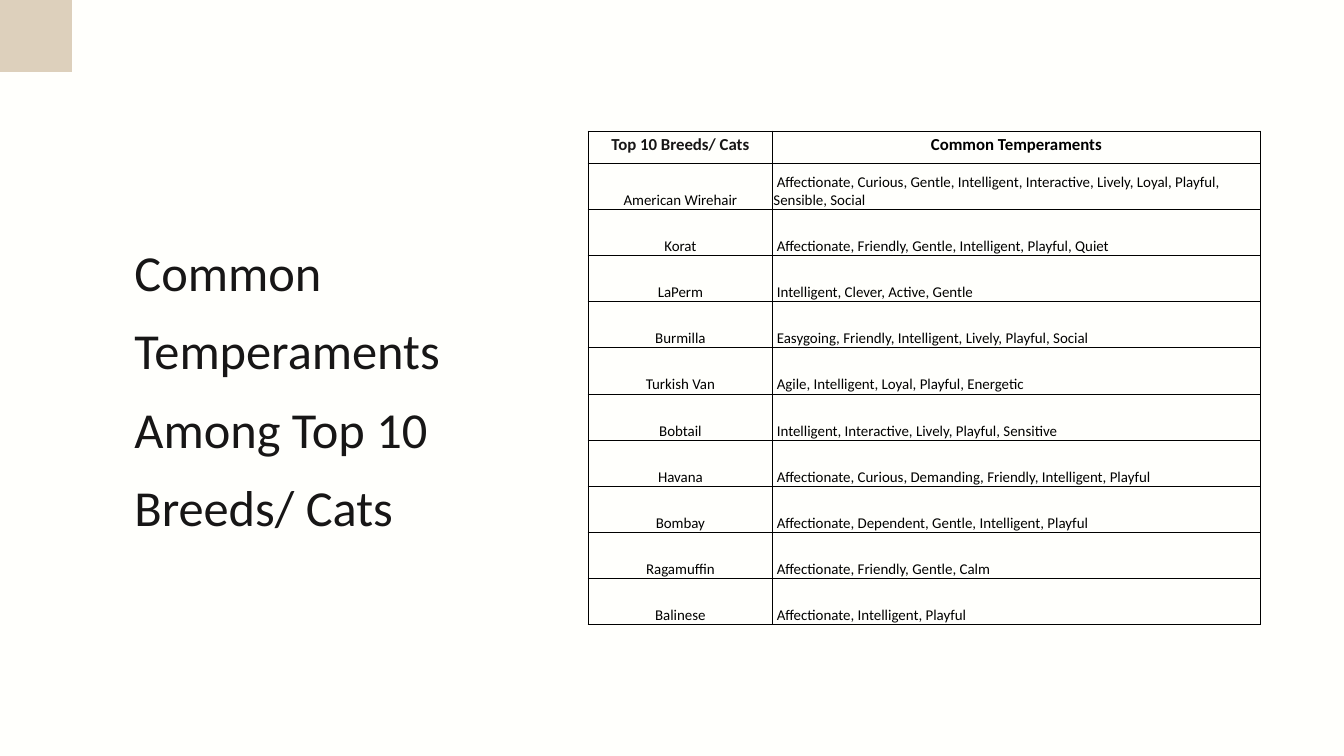
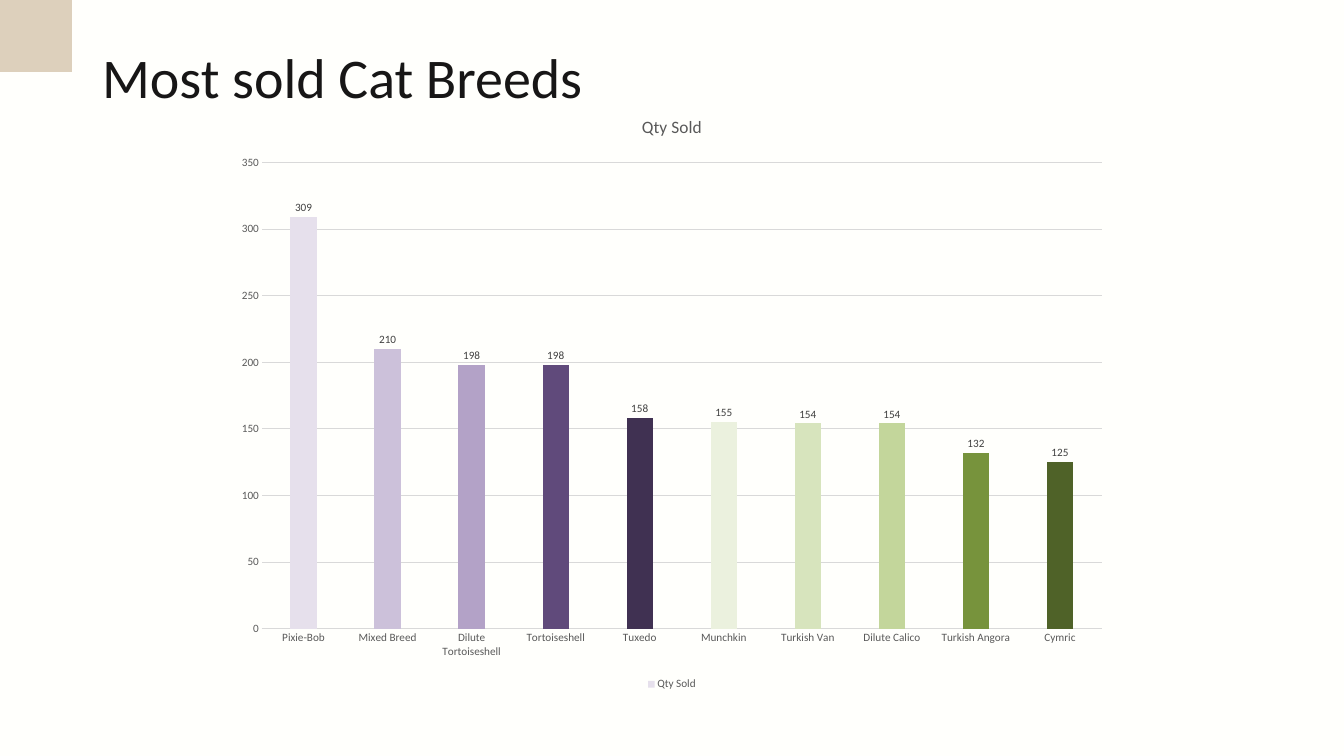
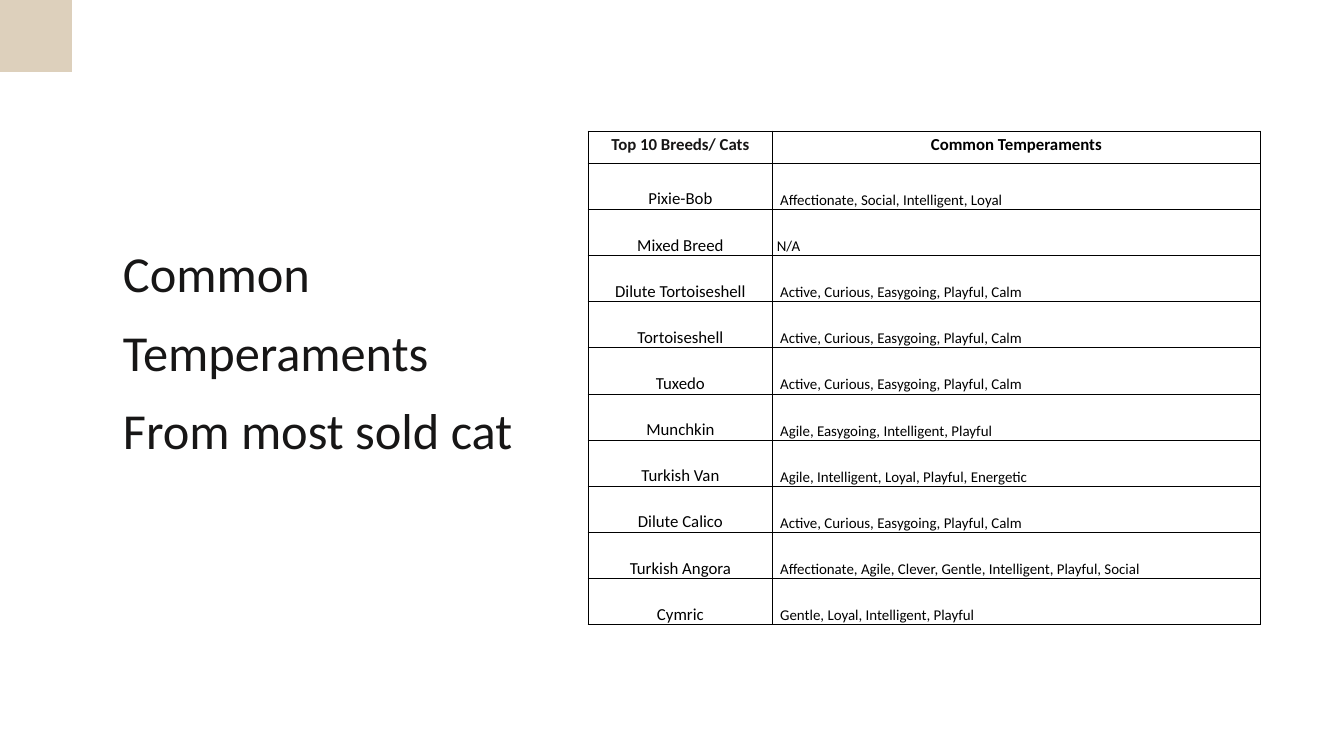
from dataclasses import dataclass

import pptx
import pptx.chart.data
import pptx.dml.color
import pptx.enum.chart
import pptx.enum.shapes
import pptx.enum.text
import pptx.oxml
import pptx.oxml.ns
import pptx.util

RGB = pptx.dml.color.RGBColor.from_string
Pt = pptx.util.Pt
ALIGN = pptx.enum.text.PP_ALIGN
ANCHOR = pptx.enum.text.MSO_ANCHOR

COLUMNS, ROWS = 80, 45  # the slide's grid of square cells
CELL = 0.25  # inches


@dataclass(frozen=True)
class Theme:
    font: str = "Calibri"
    ivory: str = "FFFFFC"
    white: str = "FFFFFF"
    sand: str = "DDD0BC"
    ink: str = "171616"
    black: str = "000000"
    axis_text: str = "595959"
    label_text: str = "404040"
    grid: str = "D9D9D9"
    bars: tuple = ("E6E0EC", "CCC1DA", "B3A2C7", "604A7B", "403152",
                   "EBF1DE", "D7E4BD", "C3D69B", "77933C", "4F6228")
    title: float = 60
    side_title: float = 54
    title_leading: float = 84
    table_head: float = 18
    table_text: float = 16
    chart_title: float = 18.6
    chart_text: float = 12
    rule: float = 1
    hairline: float = 0.75


T = Theme()

TABLE_BOX = (35, 7.8, 40, 29.4)
TABLE_HEAD = ("Top 10 Breeds/ Cats", "Common Temperaments")
NAME_SHARE = 0.275
HEAD_ROW = 1.92

TOP_BREEDS = [
    ("American Wirehair", "Affectionate, Curious, Gentle, Intelligent, Interactive, "
                          "Lively, Loyal, Playful, Sensible, Social"),
    ("Korat", "Affectionate, Friendly, Gentle, Intelligent, Playful, Quiet"),
    ("LaPerm", "Intelligent, Clever, Active, Gentle"),
    ("Burmilla", "Easygoing, Friendly, Intelligent, Lively, Playful, Social"),
    ("Turkish Van", "Agile, Intelligent, Loyal, Playful, Energetic"),
    ("Bobtail", "Intelligent, Interactive, Lively, Playful, Sensitive"),
    ("Havana", "Affectionate, Curious, Demanding, Friendly, Intelligent, Playful"),
    ("Bombay", "Affectionate, Dependent, Gentle, Intelligent, Playful"),
    ("Ragamuffin", "Affectionate, Friendly, Gentle, Calm"),
    ("Balinese", "Affectionate, Intelligent, Playful"),
]

CALICO_TRAITS = "Active, Curious, Easygoing, Playful, Calm"
# breed, quantity sold, temperaments
SOLD_BREEDS = [
    ("Pixie-Bob", 309, "Affectionate, Social, Intelligent, Loyal"),
    ("Mixed Breed", 210, "N/A"),
    ("Dilute Tortoiseshell", 198, CALICO_TRAITS),
    ("Tortoiseshell", 198, CALICO_TRAITS),
    ("Tuxedo", 158, CALICO_TRAITS),
    ("Munchkin", 155, "Agile, Easygoing, Intelligent, Playful"),
    ("Turkish Van", 154, "Agile, Intelligent, Loyal, Playful, Energetic"),
    ("Dilute Calico", 154, CALICO_TRAITS),
    ("Turkish Angora", 132, "Affectionate, Agile, Clever, Gentle, Intelligent, Playful, Social"),
    ("Cymric", 125, "Gentle, Loyal, Intelligent, Playful"),
]


def grid(n):
    """Length of n grid cells."""
    return pptx.util.Inches(n * CELL)


def place(box):
    return [grid(n) for n in box]


def style_font(font, size, color, bold=False):
    font.name = T.font
    font.size = Pt(size)
    font.bold = bold
    font.color.rgb = RGB(color)


def add_run(p, text, size, color, bold=False):
    r = p.add_run()
    r.text = text
    style_font(r.font, size, color, bold)


def add_slide(prs, background):
    """Title-only slide with its background and corner square."""
    s = prs.slides.add_slide(prs.slide_layouts[5])
    s.background.fill.solid()
    s.background.fill.fore_color.rgb = RGB(background)
    sp = s.shapes.add_shape(pptx.enum.shapes.MSO_SHAPE.RECTANGLE,
                            *place((0, 0, 4.28, 4.28)))
    sp.shadow.inherit = False
    sp.fill.solid()
    sp.fill.fore_color.rgb = RGB(T.sand)
    sp.line.fill.background()
    return s


def set_title(s, box, lines, size):
    sp = s.shapes.title
    sp.left, sp.top, sp.width, sp.height = place(box)
    tf = sp.text_frame
    tf.margin_left = tf.margin_top = tf.margin_right = tf.margin_bottom = 0
    tf.word_wrap = True
    tf.auto_size = pptx.enum.text.MSO_AUTO_SIZE.NONE
    tf.vertical_anchor = ANCHOR.TOP
    for i, line in enumerate(lines):
        p = tf.add_paragraph() if i else tf.paragraphs[0]
        p.alignment = ALIGN.LEFT
        p.line_spacing = Pt(T.title_leading)
        add_run(p, line, size, T.ink)


def frame_cell(cell):
    """Rule all four sides of a cell and clear its fill."""
    tc_pr = cell._tc.get_or_add_tcPr()
    for side in ("lnL", "lnR", "lnT", "lnB"):
        tc_pr.append(pptx.oxml.parse_xml(
            f'<a:{side} {pptx.oxml.ns.nsdecls("a")} w="{Pt(T.rule)}">'
            f'<a:solidFill><a:srgbClr val="{T.black}"/></a:solidFill></a:{side}>'))
    cell.fill.background()


def fill_body_cell(cell, text, size, indent=None):
    """Bottom-anchored cell: centred, or left with a first-line indent in inches."""
    cell.vertical_anchor = ANCHOR.BOTTOM
    cell.margin_left = cell.margin_top = cell.margin_right = pptx.util.Inches(0.01)
    cell.margin_bottom = 0
    p = cell.text_frame.paragraphs[0]
    if indent is None:
        p.alignment = ALIGN.CENTER
    else:
        p.alignment = ALIGN.LEFT
        p_pr = p._p.get_or_add_pPr()
        p_pr.set("marL", "0")
        p_pr.set("indent", str(pptx.util.Inches(indent)))
    add_run(p, text, size, T.black)


def add_temperaments(s, box, breeds, name_size, indent):
    width, height = box[2:]
    table = s.shapes.add_table(len(breeds) + 1, 2, *place(box)).table
    table.first_row = table.horz_banding = False
    for column, share in zip(table.columns, (NAME_SHARE, 1 - NAME_SHARE)):
        column.width = grid(width * share)
    for i, row in enumerate(table.rows):
        row.height = grid((height - HEAD_ROW) / len(breeds) if i else HEAD_ROW)
    for cell in table.iter_cells():
        frame_cell(cell)
    for i, (text, color) in enumerate(zip(TABLE_HEAD, (T.ink, T.black))):
        p = table.cell(0, i).text_frame.paragraphs[0]
        p.alignment = ALIGN.CENTER
        add_run(p, text, T.table_head, color, bold=True)
    for i, (name, traits) in enumerate(breeds, start=1):
        fill_body_cell(table.cell(i, 0), name, name_size)
        fill_body_cell(table.cell(i, 1), traits, T.table_text,
                       0.05 if traits == "N/A" else indent)


def style_axis(axis):
    axis.major_tick_mark = axis.minor_tick_mark = pptx.enum.chart.XL_TICK_MARK.NONE
    style_font(axis.tick_labels.font, T.chart_text, T.axis_text)


def style_line(line):
    line.color.rgb = RGB(T.grid)
    line.width = Pt(T.hairline)


def add_sales_chart(s, box):
    data = pptx.chart.data.CategoryChartData()
    data.categories = [name for name, _, _ in SOLD_BREEDS]
    data.add_series("Qty Sold", [sold for _, sold, _ in SOLD_BREEDS])
    chart = s.shapes.add_chart(pptx.enum.chart.XL_CHART_TYPE.COLUMN_CLUSTERED,
                               *place(box), data).chart
    style_font(chart.font, 10, T.black)

    chart.has_title = True
    add_run(chart.chart_title.text_frame.paragraphs[0], "Qty Sold",
            T.chart_title, T.axis_text)
    chart.chart_title.include_in_layout = False
    chart.has_legend = True
    chart.legend.position = pptx.enum.chart.XL_LEGEND_POSITION.BOTTOM
    chart.legend.include_in_layout = False
    style_font(chart.legend.font, T.chart_text, T.axis_text)

    style_axis(chart.category_axis)
    style_line(chart.category_axis.format.line)
    values = chart.value_axis
    style_axis(values)
    values.format.line.fill.background()
    values.minimum_scale, values.maximum_scale, values.major_unit = 0, 350, 50
    style_line(values.major_gridlines.format.line)

    plot = chart.plots[0]
    plot.gap_width, plot.overlap = 219, -27
    plot.vary_by_categories = False
    series = plot.series[0]
    series.invert_if_negative = False
    bars = [series] + [series.points[i] for i in range(1, len(T.bars))]
    for bar, color in zip(bars, T.bars):
        bar.format.fill.solid()
        bar.format.fill.fore_color.rgb = RGB(color)
    labels = series.data_labels
    labels.show_value = True
    labels.position = pptx.enum.chart.XL_LABEL_POSITION.OUTSIDE_END
    style_font(labels.font, T.chart_text, T.label_text)


def main():
    prs = pptx.Presentation()
    prs.slide_width, prs.slide_height = grid(COLUMNS), grid(ROWS)

    s = add_slide(prs, T.ivory)
    set_title(s, (8, 13.28, 20, 18.48),
              ["Common Temperaments Among Top 10 Breeds/ Cats"], T.side_title)
    add_temperaments(s, TABLE_BOX, TOP_BREEDS, T.table_text, indent=0.05)

    s = add_slide(prs, T.ivory)
    set_title(s, (6.08, 1.88, 34.96, 4.52), ["Most sold Cat Breeds"], T.title)
    add_sales_chart(s, (13.33, 5.72, 53.33, 35.56))

    s = add_slide(prs, T.white)
    set_title(s, (7.32, 13.36, 25.2, 13.68),
              ["Common Temperaments", "From most sold cat"], T.side_title)
    sold = [(name, traits) for name, _, traits in SOLD_BREEDS]
    add_temperaments(s, TABLE_BOX, sold, T.table_head, indent=0.1)

    prs.save("out.pptx")


if __name__ == "__main__":
    main()
